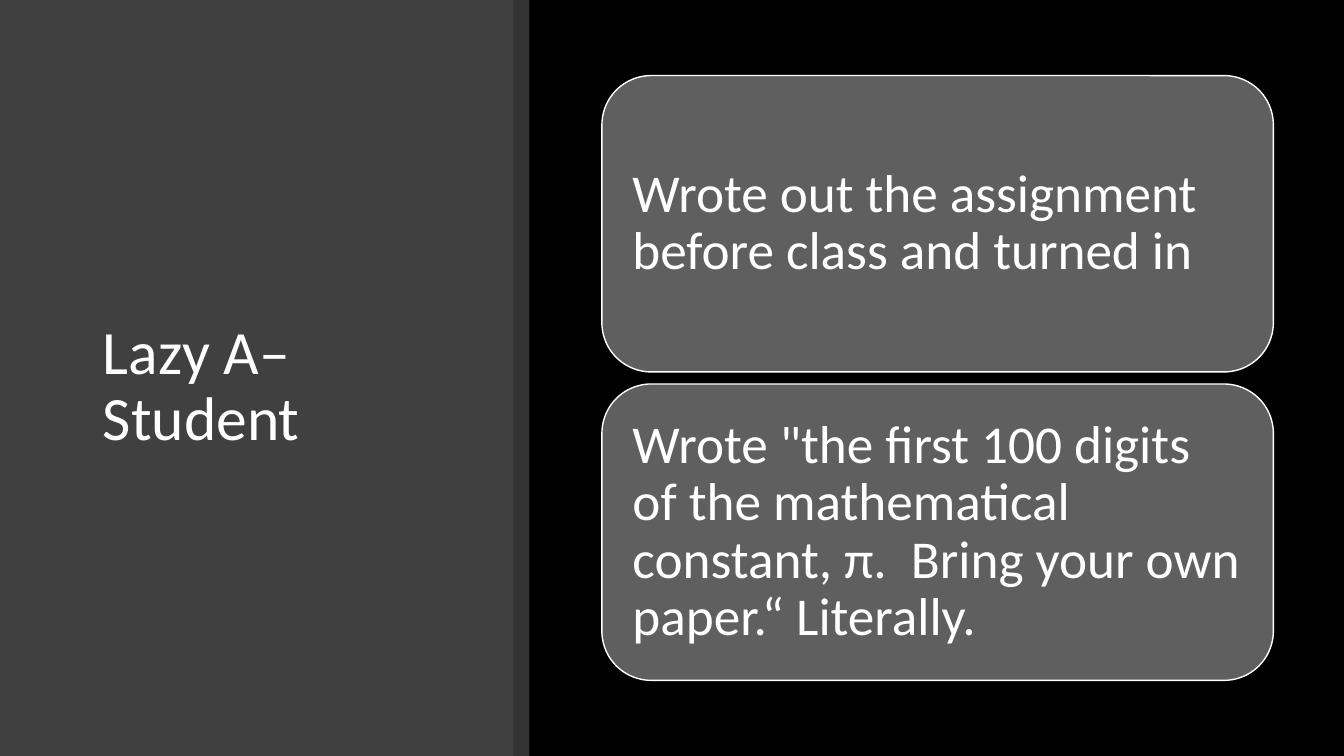
import pptx
import pptx.util
import pptx.dml.color
import pptx.enum.shapes
import pptx.enum.text
import pptx.oxml
import pptx.oxml.ns
from pptx.util import Inches

SHAPES = pptx.enum.shapes.MSO_SHAPE
FONT = "Calibri"
WHITE = "FFFFFF"
CARD_TEXTS = [
    "Wrote out the assignment before class and turned in",
    'Wrote "the first 100 digits of the mathematical constant, π.  Bring your own paper.“ Literally.',
]


def color(hex_string):
    return pptx.dml.color.RGBColor.from_string(hex_string)


def add_box(slide, kind, left, top, width, height, fill, line=None):
    shape = slide.shapes.add_shape(
        kind, Inches(left), Inches(top), Inches(width), Inches(height))
    shape.shadow.inherit = False
    shape.fill.solid()
    shape.fill.fore_color.rgb = color(fill)
    if line:
        shape.line.color.rgb = color(line)
        shape.line.width = pptx.util.Pt(1)
    else:
        shape.line.fill.background()
    return shape


def set_opacity(shape, percent):
    fill_color = shape.element.spPr.find(
        "/".join(pptx.oxml.ns.qn(tag) for tag in ("a:solidFill", "a:srgbClr")))
    fill_color.append(pptx.oxml.parse_xml(
        f'<a:alpha {pptx.oxml.ns.nsdecls("a")} val="{percent * 1000}"/>'))


def write_text(shape, text, size, inset):
    frame = shape.text_frame
    frame.text = text
    frame.word_wrap = True
    frame.auto_size = pptx.enum.text.MSO_AUTO_SIZE.NONE
    frame.vertical_anchor = pptx.enum.text.MSO_ANCHOR.MIDDLE
    frame.margin_left = frame.margin_right = Inches(inset)
    frame.margin_top = frame.margin_bottom = Inches(inset)
    paragraph = frame.paragraphs[0]
    paragraph.alignment = pptx.enum.text.PP_ALIGN.LEFT
    paragraph.line_spacing = 0.9
    font = paragraph.runs[0].font
    font.name = FONT
    font.size = pptx.util.Pt(size)
    font.color.rgb = color(WHITE)


def place_title(slide, text):
    title = slide.shapes.title
    title.left, title.top = Inches(0.92), Inches(0.89)
    title.width, title.height = Inches(3.65), Inches(5.91)
    write_text(title, text, 44, 0.1)
    # Bring the title in front of the panel
    slide.shapes.element.append(title.element)


def add_card(slide, top, text):
    card = add_box(slide, SHAPES.ROUNDED_RECTANGLE, 5.97, top, 6.66, 2.94, "5F5F5F", WHITE)
    write_text(card, text, 38, 0.16)


def main():
    presentation = pptx.Presentation()
    presentation.slide_width = Inches(13.33)
    presentation.slide_height = Inches(7.5)
    slide = presentation.slides.add_slide(presentation.slide_layouts[5])
    slide.background.fill.solid()
    slide.background.fill.fore_color.rgb = color("000000")

    # Left panel with its translucent edge
    add_box(slide, SHAPES.RECTANGLE, 0, 0, 5.09, 7.5, "404040")
    edge = add_box(slide, SHAPES.RECTANGLE, 5.09, 0, 0.16, 7.5, WHITE)
    set_opacity(edge, 20)
    place_title(slide, "Lazy A– Student")

    # Stacked cards
    for row, text in enumerate(CARD_TEXTS):
        add_card(slide, 0.75 + row * 3.06, text)

    presentation.save("out.pptx")


if __name__ == "__main__":
    main()
